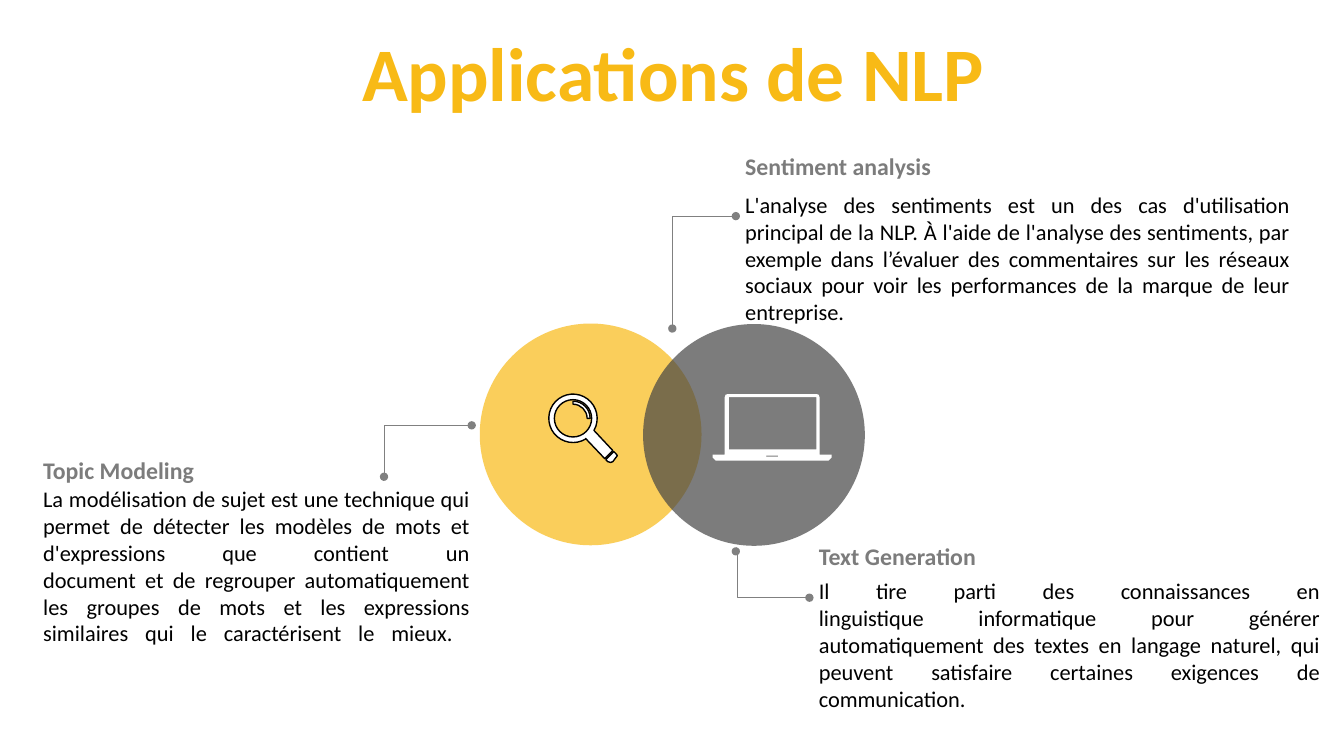
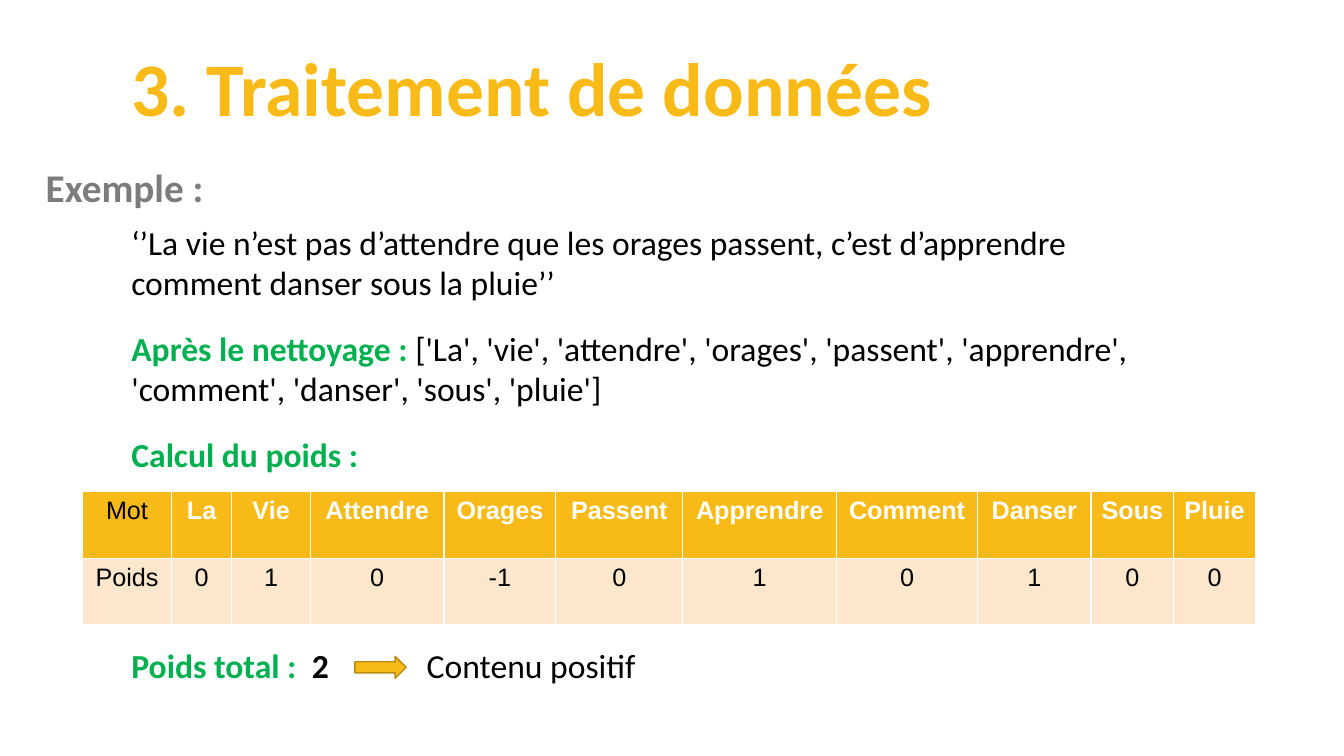
from dataclasses import dataclass
from math import cos, radians, sin, tan

from lxml import etree
from pptx import Presentation
from pptx.dml.color import RGBColor
from pptx.enum.shapes import MSO_CONNECTOR, MSO_SHAPE
from pptx.enum.text import MSO_ANCHOR, PP_ALIGN
from pptx.oxml.ns import qn
from pptx.util import Inches, Pt

OVAL, ARROW = MSO_SHAPE.OVAL, MSO_SHAPE.RIGHT_ARROW
ELBOW = MSO_CONNECTOR.ELBOW
MIDDLE = MSO_ANCHOR.MIDDLE
LEFT, CENTER, JUSTIFY = PP_ALIGN.LEFT, PP_ALIGN.CENTER, PP_ALIGN.JUSTIFY

GOLD = RGBColor(0xF8, 0xBA, 0x16)
BRONZE = RGBColor(0xB7, 0x8A, 0x10)
CREAM = RGBColor(0xFC, 0xE7, 0xCC)
DARK = RGBColor(0x45, 0x45, 0x45)
GRAY = RGBColor(0x7C, 0x7C, 0x7C)
RULE = RGBColor(0x80, 0x80, 0x80)
GREEN = RGBColor(0x00, 0xB0, 0x50)
BLACK = RGBColor(0, 0, 0)
WHITE = RGBColor(255, 255, 255)

# Grid: square cells of a tenth of an inch
CELL = Inches(0.1)
COLS, ROWS = 133.33, 75
FINE = 100  # outline steps in a cell

Point = tuple[float, float]


@dataclass
class Box:
    x: float
    y: float
    w: float
    h: float

    def emu(self) -> list[int]:
        return [grid(n) for n in (self.x, self.y, self.w, self.h)]


@dataclass
class Font:
    size: float
    color: RGBColor = BLACK
    bold: bool = False
    name: str = "Calibri"


@dataclass
class Part:
    text: str
    color: RGBColor = BLACK
    bold: bool = False


@dataclass
class Note:
    head: str
    body: str
    box: Box
    gap: float  # rows from the heading to the body


@dataclass
class Link:
    start: Point
    end: Point
    bend: int  # turning point, in thousandths of the width


@dataclass
class Curve:
    points: list[Point]  # two handles, then the end


Loop = list[Point | Curve]

TITLE = Font(54, GOLD, True)
HEAD = Font(17, GRAY, True)
BODY = Font(16)
LARGE = Font(24)

NOTES = [
    Note("Sentiment analysis",
         "L'analyse des sentiments est un des cas d'utilisation principal de "
         "la NLP. À l'aide de l'analyse des sentiments, par exemple dans "
         "l’évaluer des commentaires sur les réseaux sociaux pour voir les "
         "performances de la marque de leur entreprise.",
         Box(72.95, 14.6, 56, 17.2), 3.85),
    Note("Text Generation",
         "Il tire parti des connaissances en\vlinguistique informatique pour "
         "générer automatiquement des textes en langage naturel, qui peuvent "
         "satisfaire certaines exigences de\vcommunication.",
         Box(80.25, 53.25, 51.7, 17.2), 3.55),
    Note("Topic Modeling",
         "La modélisation de sujet est une technique qui permet de détecter "
         "les modèles de mots et d'expressions que contient un\vdocument et "
         "de regrouper automatiquement les groupes de mots et les expressions "
         "similaires qui le caractérisent le mieux. \v",
         Box(3.3, 44.7, 44.3, 19.9), 2.95),
]

# Each link rises or falls first, then runs across
LINKS = [Link((66.7, 32.6), (73, 21.45), 8),
         Link((38.1, 47.3), (46.8, 42.2), 7),
         Link((73, 54.7), (80.3, 59.3), 18)]

WORDS = [("Mot", "Poids", 8.8), ("La", "0", 6), ("Vie", "1", 7.8),
         ("Attendre", "0", 13.25), ("Orages", "-1", 11.1),
         ("Passent", "0", 12.6), ("Apprendre", "1", 15.25),
         ("Comment", "0", 14), ("Danser", "1", 11.25), ("Sous", "0", 8.2),
         ("Pluie", "0", 8.1)]


def grid(n: float) -> int:
    return round(n * CELL)


def style(font, look: Font) -> None:
    font.name, font.size, font.bold = look.name, Pt(look.size), look.bold
    font.color.rgb = look.color


def paint(shape, fill: RGBColor, line: RGBColor | None = None) -> None:
    shape.shadow.inherit = False
    shape.fill.solid()
    shape.fill.fore_color.rgb = fill
    if line is None:
        shape.line.fill.background()
    else:
        shape.line.color.rgb = line
        shape.line.width = Pt(1)


def write(slide, box: Box, text: str | list[Part], look: Font, align=LEFT):
    frame = slide.shapes.add_textbox(*box.emu()).text_frame
    frame.word_wrap = True
    para = frame.paragraphs[0]
    para.alignment = align
    style(para.font, look)
    if isinstance(text, str):
        para.text = text
    else:
        for part in text:
            run = para.add_run()
            run.text = part.text
            run.font.bold = part.bold
            run.font.color.rgb = part.color
    return frame


def title(slide, box: Box, text: str, align=LEFT) -> None:
    frame = write(slide, box, text, TITLE, align)
    frame.vertical_anchor = MIDDLE
    frame.paragraphs[0].line_spacing = 0.9


def tabs(para, stops: list[float]) -> None:
    props = para._p.get_or_add_pPr()
    items = etree.Element(qn("a:tabLst"))
    for stop in stops:
        etree.SubElement(items, qn("a:tab"), pos=str(grid(stop)), algn="l")
    props.insert(0, items)


def disc(slide, box: Box, color: RGBColor) -> None:
    shape = slide.shapes.add_shape(OVAL, *box.emu())
    paint(shape, color)
    tint = shape.fill._xPr.find(".//" + qn("a:srgbClr"))
    etree.SubElement(tint, qn("a:alpha"), val="70000")


def join(slide, link: Link) -> None:
    line = slide.shapes.add_connector(
        ELBOW, *[grid(n) for n in (*link.start, *link.end)])
    line.line.color.rgb = RULE
    line.line.width = Pt(0.5)
    props = line._element.spPr
    guides = props.find(".//" + qn("a:avLst"))
    etree.SubElement(guides, qn("a:gd"), name="adj1",
                     fmla=f"val {link.bend * 100}")
    for tag in ("a:headEnd", "a:tailEnd"):
        etree.SubElement(props.find(qn("a:ln")), qn(tag), type="oval")
    etree.SubElement(props, qn("a:effectLst"))


# Outlines of the icons
def arc(mid: Point, r: float, start: float, end: float, count: int) -> Loop:
    def spot(angle: float, pull: float) -> Point:
        x, y = cos(angle), sin(angle)
        return mid[0] + r * (x - pull * y), mid[1] + r * (y + pull * x)

    turn = radians(end - start) / count
    pull = 4 / 3 * tan(turn / 4)
    loop: Loop = [spot(radians(start), 0)]
    for i in range(count):
        a = radians(start) + i * turn
        loop.append(Curve([spot(a, pull), spot(a + turn, -pull),
                           spot(a + turn, 0)]))
    return loop


def rect(x: float, y: float, w: float, h: float) -> Loop:
    return [(x, y), (x, y + h), (x + w, y + h), (x + w, y)]


def icon(slide, loops: list[Loop], line: RGBColor | None = None) -> None:
    pen = slide.shapes.build_freeform(
        *[n * FINE for n in loops[0][0]], scale=CELL / FINE)
    sizes = []
    for i, loop in enumerate(loops):
        if i:
            pen.move_to(*[n * FINE for n in loop[0]])
        groups = [s.points if isinstance(s, Curve) else [s] for s in loop[1:]]
        sizes += [len(group) for group in groups]
        pen.add_line_segments([(x * FINE, y * FINE)
                               for group in groups for x, y in group])
    shape = pen.convert_to_shape()
    paint(shape, WHITE, line)
    # Three steps in a row become one curve
    steps = iter(shape._element.findall(".//" + qn("a:lnTo")))
    for size in sizes:
        group = [next(steps) for _ in range(size)]
        if size == 3:
            first, *rest = group
            first.tag = qn("a:cubicBezTo")
            for step in rest:
                first.append(step[0])
                step.getparent().remove(step)


def laptop(slide) -> None:
    body: Loop = [
        (72.2, 39.1), (81, 39.1),
        Curve([(81.2, 39.1), (81.3, 39.2), (81.3, 39.4)]), (81.3, 45.1),
        (82.5, 45.1), (82.5, 45.4), (82.2, 45.7), (71, 45.7), (70.7, 45.4),
        (70.7, 45.1), (71.9, 45.1), (71.9, 39.4),
        Curve([(71.9, 39.2), (72, 39.1), (72.2, 39.1)])]
    icon(slide, [body, rect(72.3, 39.4, 8.7, 5.2), rect(76, 45.2, 1.2, 0.1)])


def lens(slide) -> None:
    mid = (56.85, 41.5)
    grip = [(60.8, 44.7), (60, 45.5), (58.1, 43.5)]
    rim = arc(mid, 2.4, 58, 390, 4) + grip
    tip: Loop = [
        (60.9, 44.8), (61.1, 45),
        Curve([(61.3, 45.1), (61.3, 45.3), (61.1, 45.4)]), (60.8, 45.8),
        Curve([(60.7, 45.9), (60.5, 45.9), (60.3, 45.8)]), (60.1, 45.6)]
    glint = arc(mid, 1.7, -90, 0, 1) + arc(mid, 1.4, 0, -90, 1)
    loops = [rim, arc(mid, 1.85, 0, 360, 4), glint, tip]
    icon(slide, [loop + loop[:1] for loop in loops], BLACK)


def weights(slide, x: float, y: float, row: float) -> None:
    wide = sum(w for _, _, w in WORDS)
    table = slide.shapes.add_table(
        2, len(WORDS), *Box(x, y, wide, 2 * row).emu()).table
    table.horz_banding = False
    for c, (word, value, w) in enumerate(WORDS):
        table.columns[c].width = grid(w)
        bold = c > 0
        looks = [(word, GOLD, Font(18, WHITE if bold else BLACK, bold, "Arial")),
                 (value, CREAM, Font(18, name="Arial"))]
        for r, (text, fill, look) in enumerate(looks):
            cell = table.cell(r, c)
            cell.fill.solid()
            cell.fill.fore_color.rgb = fill
            para = cell.text_frame.paragraphs[0]
            para.text = text
            para.alignment = CENTER
            style(para.font, look)


def uses(slide) -> None:
    title(slide, Box(3.5, 3.7, 126.6, 7.9), "Applications de NLP", CENTER)
    disc(slide, Box(47.6, 32.1, 22, 22), GOLD)
    disc(slide, Box(63.8, 32.15, 22, 22), DARK)
    for note in NOTES:
        box = note.box
        write(slide, Box(box.x, box.y, box.w, 3.9), note.head, HEAD)
        write(slide, Box(box.x, box.y + note.gap, box.w, box.h), note.body,
              BODY, JUSTIFY)
    for link in LINKS:
        join(slide, link)
    laptop(slide)
    lens(slide)


def data(slide) -> None:
    left, wide = 12.05, 101.2
    title(slide, Box(left, 5.2, 120, 7.9), "3. Traitement de données")
    write(slide, Box(3.55, 15.75, 112.8, 5.7), "Exemple :", Font(28, GRAY, True))
    write(slide, Box(left, 21.5, 102.7, 9.1),
          "‘’La vie n’est pas d’attendre que les orages passent, c’est "
          "d’apprendre comment danser sous la pluie’’", LARGE)
    write(slide, Box(left, 32.05, wide, 9.1),
          [Part("Après le nettoyage : ", GREEN, True),
           Part("['La', 'vie', 'attendre', 'orages', 'passent', 'apprendre', "
                "'comment', 'danser', 'sous', 'pluie']")], LARGE)
    weights(slide, 8.2, 48.8, 6.6)
    write(slide, Box(left, 42.55, wide, 5), "Calcul du poids :",
          Font(24, GREEN, True))
    # Total and verdict, with the arrow between them
    total = write(slide, Box(left, 63.5, wide, 5),
                  [Part("Poids total :\t", GREEN, True),
                   Part("2\t", bold=True), Part("Contenu positif")], LARGE)
    tabs(total.paragraphs[0], [17.9, 29.3])
    arrow = slide.shapes.add_shape(ARROW, *Box(35.2, 65.1, 5.1, 2.2).emu())
    paint(arrow, GOLD, BRONZE)


def main() -> None:
    deck = Presentation()
    deck.slide_width, deck.slide_height = grid(COLS), grid(ROWS)
    blank = deck.slide_layouts[6]
    for draw in (uses, data):
        draw(deck.slides.add_slide(blank))
    deck.save("out.pptx")


if __name__ == "__main__":
    main()
